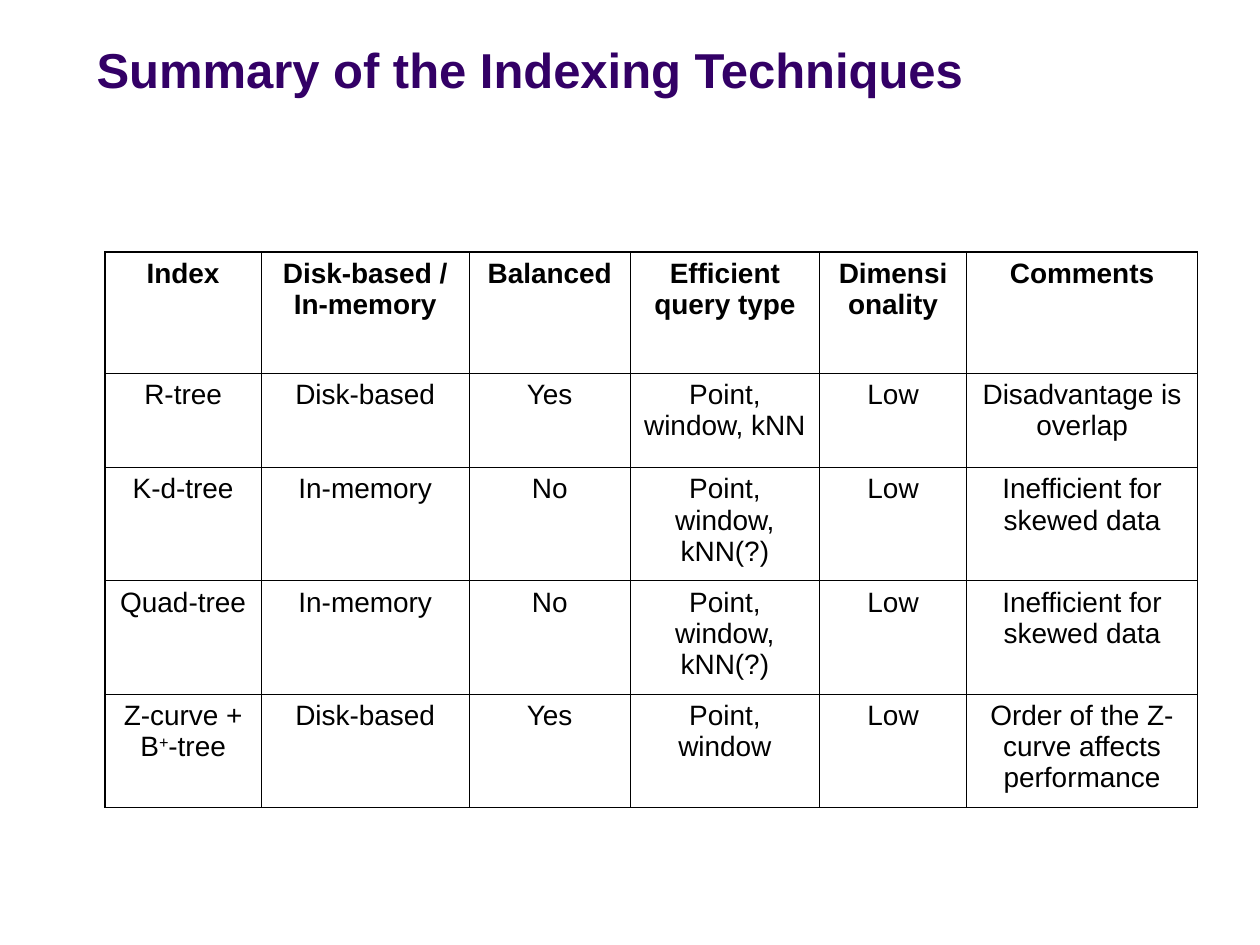
"""Build a slide with a table that compares spatial indexing techniques."""
from lxml import etree
from pptx import Presentation
from pptx.dml.color import RGBColor
from pptx.enum.text import MSO_ANCHOR, PP_ALIGN
from pptx.oxml.ns import qn
from pptx.util import Pt

TITLE = "Summary of the Indexing Techniques"
HEADER = ["Index", "Disk-based / In-memory", "Balanced",
          "Efficient query type", "Dimensionality", "Comments"]
INDEXES = [
    ["R-tree", "Disk-based", "Yes", "Point, window, kNN", "Low",
     "Disadvantage is overlap"],
    ["K-d-tree", "In-memory", "No", "Point, window, kNN(?)", "Low",
     "Inefficient for skewed data"],
    ["Quad-tree", "In-memory", "No", "Point, window, kNN(?)", "Low",
     "Inefficient for skewed data"],
    [("Z-curve + B", "+", "-tree"), "Disk-based", "Yes", "Point, window", "Low",
     "Order of the Z-curve affects performance"],
]
ROWS = [HEADER] + INDEXES
COL_WIDTHS = [89.28, 118.8, 92.16, 108, 84.24, 131.76]
ROW_HEIGHTS = [69.12, 54, 64.8, 64.8, 64.8]

FONT = "Arial"
PURPLE = RGBColor(0x33, 0x00, 0x66)
BLACK = RGBColor(0x00, 0x00, 0x00)
THIN, THICK = Pt(0.45), Pt(1.08)
CENTER, LEFT = PP_ALIGN.CENTER, PP_ALIGN.LEFT
TOP, BOTTOM = MSO_ANCHOR.TOP, MSO_ANCHOR.BOTTOM


def add_run(p, text, size, color, bold):
    r = p.add_run()
    r.text = text
    r.font.name = FONT
    r.font.size = Pt(size)
    r.font.bold = bold
    r.font.color.rgb = color
    return r


def set_borders(cell, widths):
    tcPr = cell._tc.get_or_add_tcPr()
    for tag, width in widths.items():
        ln = etree.SubElement(tcPr, qn(f"a:{tag}"), w=str(width))
        fill = etree.SubElement(ln, qn("a:solidFill"))
        etree.SubElement(fill, qn("a:srgbClr"), val=str(BLACK))


def fill_cell(cell, content, bold):
    cell.vertical_anchor = TOP
    cell.margin_left = cell.margin_right = Pt(7.2)
    cell.margin_top = cell.margin_bottom = Pt(3.6)
    p = cell.text_frame.paragraphs[0]
    p.alignment = CENTER
    p.space_before = Pt(4)
    parts = (content,) if isinstance(content, str) else content
    for i, text in enumerate(parts):
        r = add_run(p, text, 16, BLACK, bold)
        if i == 1:
            r._r.get_or_add_rPr().set("baseline", "30000")


def add_title(s):
    sp = s.shapes.title
    sp.left, sp.top, sp.width, sp.height = Pt(48), Pt(24), Pt(594), Pt(36)
    tf = sp.text_frame
    tf.word_wrap = True
    tf.vertical_anchor = BOTTOM
    p = tf.paragraphs[0]
    p.alignment = LEFT
    add_run(p, TITLE, 28, PURPLE, True)


def add_index_table(s):
    frame = s.shapes.add_table(len(ROWS), len(HEADER), Pt(60), Pt(144),
                               Pt(sum(COL_WIDTHS)), Pt(sum(ROW_HEIGHTS)))
    table = frame.table
    table.first_row = table.horz_banding = False
    for column, width in zip(table.columns, COL_WIDTHS):
        column.width = Pt(width)
    for row, height in zip(table.rows, ROW_HEIGHTS):
        row.height = Pt(height)
    last = len(HEADER) - 1
    for i, row in enumerate(ROWS):
        for j, content in enumerate(row):
            cell = table.cell(i, j)
            fill_cell(cell, content, i == 0)
            set_borders(cell, {"lnL": THICK if j == 0 else THIN,
                               "lnR": THICK if j == last else THIN,
                               "lnT": THICK if i == 0 else THIN,
                               "lnB": THIN})
            cell.fill.background()


def main():
    prs = Presentation()
    prs.slide_width, prs.slide_height = Pt(720), Pt(540)
    s = prs.slides.add_slide(prs.slide_layouts[5])
    add_title(s)
    add_index_table(s)
    prs.save("out.pptx")


if __name__ == "__main__":
    main()
